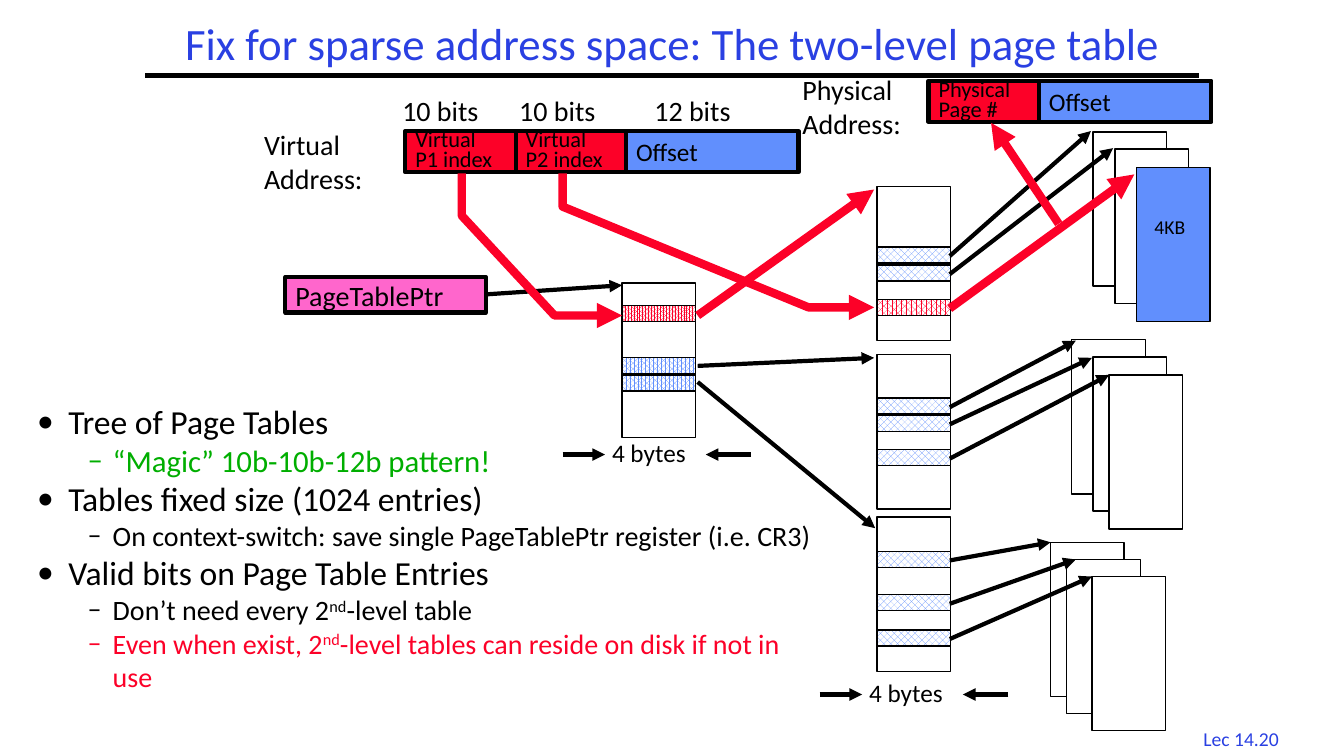
from lxml.etree import SubElement
from pptx import Presentation
from pptx.dml.color import RGBColor
from pptx.enum.dml import MSO_PATTERN
from pptx.enum.shapes import MSO_CONNECTOR, MSO_SHAPE
from pptx.enum.text import MSO_ANCHOR, MSO_AUTO_SIZE, PP_ALIGN
from pptx.oxml.ns import qn
from pptx.util import Inches, Pt

BLACK, WHITE, RED, BLUE = "000000", "FFFFFF", "FC0128", "618FFD"
TITLE_BLUE, PINK, GREEN = "2A40E2", "FF66CC", "00AE00"
TABLE_WIDTH, TABLE_HEIGHT, ENTRY_HEIGHT = 0.73, 1.53, 0.16


def color(value):
    return RGBColor.from_string(value)


def write_text(shape, text, size, fill=BLACK, spacing=1.0, inset=(0.1, 0.05),
               align=PP_ALIGN.LEFT, wrap=False):
    frame = shape.text_frame
    frame.text = text
    frame.word_wrap = wrap
    frame.margin_left = frame.margin_right = Inches(inset[0])
    frame.margin_top = frame.margin_bottom = Inches(inset[1])
    for paragraph in frame.paragraphs:
        paragraph.alignment = align
        paragraph.line_spacing = spacing
        for run in paragraph.runs:
            run.font.size = Pt(size)
            run.font.name = "Calibri"
            run.font.color.rgb = color(fill)
    return frame


def add_label(slide, left, top, width, height, text, size, **options):
    label = slide.shapes.add_textbox(Inches(left), Inches(top), Inches(width), Inches(height))
    frame = write_text(label, text, size, **options)
    frame.auto_size = MSO_AUTO_SIZE.SHAPE_TO_FIT_TEXT


def add_small_label(slide, left, top, width, height, text, size):
    add_label(slide, left, top, width, height, text, size, spacing=0.9, inset=(0.07, 0.03))


def add_box(slide, left, top, width, height, fill=None, weight=1, pattern=None):
    box = slide.shapes.add_shape(MSO_SHAPE.RECTANGLE, Inches(left), Inches(top),
                                 Inches(width), Inches(height))
    box.shadow.inherit = False
    box.line.color.rgb = color(BLACK)
    box.line.width = Pt(weight)
    if pattern:
        box.fill.patterned()
        box.fill.pattern = pattern
        box.fill.fore_color.rgb = color(fill)
        box.fill.back_color.rgb = color(WHITE)
    elif fill:
        box.fill.solid()
        box.fill.fore_color.rgb = color(fill)
    else:
        box.fill.background()
    return box


def add_cell(slide, left, top, width, height, text, size, fill, spacing=1.0):
    cell = add_box(slide, left, top, width, height, fill, weight=3)
    write_text(cell, text, size, spacing=spacing).vertical_anchor = MSO_ANCHOR.MIDDLE


def style_line(shape, stroke, weight, arrow=True):
    shape.line.color.rgb = color(stroke)
    shape.line.width = Pt(weight)
    if arrow:
        SubElement(shape.line._get_or_add_ln(), qn("a:tailEnd"), type="triangle")


def add_line(slide, start, end, stroke=BLACK, weight=3, arrow=True):
    line = slide.shapes.add_connector(MSO_CONNECTOR.STRAIGHT, *map(Inches, start + end))
    style_line(line, stroke, weight, arrow)
    SubElement(line._element.spPr, qn("a:effectLst"))


def add_index_route(slide, left, top, offsets):
    points = [(Inches(left + dx), Inches(top + dy)) for dx, dy in offsets]
    builder = slide.shapes.build_freeform(Inches(left), Inches(top))
    builder.add_line_segments(points, close=False)
    route = builder.convert_to_shape()
    route.shadow.inherit = False
    route.fill.background()
    style_line(route, RED, 6)


def add_header(slide, left, top, width, height):
    add_line(slide, (left + 0.52, top + 0.58), (left + 10.97, top + 0.58), arrow=False)
    title = slide.shapes.title
    title.left, title.top, title.width, title.height = map(Inches, (left, top, width, height))
    frame = write_text(title, "Fix for sparse address space: The two-level page table", 32,
                       fill=TITLE_BLUE, spacing=0.9, align=PP_ALIGN.CENTER, wrap=True)
    frame.vertical_anchor = MSO_ANCHOR.MIDDLE
    frame.auto_size = MSO_AUTO_SIZE.NONE


def add_address(slide, left, top, name, name_offset, indexes, bits=()):
    add_label(slide, left + name_offset[0], top + name_offset[1], 1.31, 0.77,
              f"{name}\nAddress:", 20)
    index_width = 1.095
    add_cell(slide, left + index_width * len(indexes), top, 1.71, 0.41, "Offset", 18, BLUE)
    for position, text in reversed(list(enumerate(indexes))):
        add_cell(slide, left + position * index_width, top, index_width, 0.41,
                 text, 16, RED, spacing=0.75)
    for offset, text in bits:
        add_small_label(slide, left + offset, top - 0.36, 0.97, 0.36, text, 20)


def add_table_frame(slide, left, top, entries):
    add_box(slide, left, top, TABLE_WIDTH, TABLE_HEIGHT)
    for offset, fill, pattern in entries:
        add_box(slide, left, top + offset, TABLE_WIDTH, ENTRY_HEIGHT, fill, pattern=pattern)


def add_entry_width(slide, left, top):
    add_small_label(slide, left, top, 0.95, 0.33, "4 bytes", 18)
    middle = top + 0.17
    add_line(slide, (left - 0.42, middle), (left, middle))
    add_line(slide, (left + 1.45, middle), (left + 1, middle))


def add_root_table(slide, left, top, targets):
    add_table_frame(slide, left, top, [(0.22, RED, MSO_PATTERN.PERCENT_80),
                                       (0.74, BLUE, MSO_PATTERN.PERCENT_75),
                                       (0.91, BLUE, MSO_PATTERN.PERCENT_75)])
    add_entry_width(slide, left - 0.17, top + TABLE_HEIGHT)
    add_cell(slide, left - 3.34, top - 0.06, 1.99, 0.35, "PageTablePtr", 20, PINK)
    add_line(slide, (left - 1.34, top + 0.11), (left, top + 0.02))
    starts = zip((0.32, 0.82, 0.98), (RED, BLACK, BLACK), (6, 3, 3), targets)
    for offset, stroke, weight, target in starts:
        add_line(slide, (left + 0.75, top + offset), target, stroke, weight)


def add_branch(slide, left, top, rows, active=None):
    for index, (entry, page, tip) in enumerate(rows):
        fill = BLUE if index == active else WHITE
        add_box(slide, left + page[0], top + page[1], TABLE_WIDTH, TABLE_HEIGHT, fill)
    entries = [(row[0], RED, MSO_PATTERN.PERCENT_70) if index == active
               else (row[0], BLUE, MSO_PATTERN.PERCENT_50) for index, row in enumerate(rows)]
    add_table_frame(slide, left, top, entries)
    for index, (entry, page, tip) in enumerate(rows):
        stroke, weight = (RED, 6) if index == active else (BLACK, 3)
        add_line(slide, (left + 0.72, top + entry + 0.09),
                 (left + tip[0], top + tip[1]), stroke, weight)


def add_bullets(slide, left, top, width, height, items):
    body = slide.shapes.add_textbox(Inches(left), Inches(top), Inches(width), Inches(height))
    frame = write_text(body, "\n".join("".join(parts) for level, size, fill, parts in items),
                       20, wrap=True)
    for paragraph, (level, size, fill, parts) in zip(frame.paragraphs, items):
        paragraph.level = level
        margin, hanging, symbol = ((0.31, 0.31, "•"), (0.75, 0.25, "–"))[level]
        properties = paragraph._p.get_or_add_pPr()
        properties.set("marL", str(Inches(margin)))
        properties.set("indent", str(-Inches(hanging)))
        SubElement(properties, qn("a:buFont"), typeface="Calibri")
        SubElement(properties, qn("a:buChar"), char=symbol)
        paragraph.clear()
        for position, part in enumerate(parts):
            run = paragraph.add_run()
            run.text = part
            run.font.name = "Calibri"
            run.font.size = Pt(size)
            run.font.color.rgb = color(fill)
            if position == 1:
                run._r.get_or_add_rPr().set("baseline", "30000")


def main():
    presentation = Presentation()
    presentation.slide_width, presentation.slide_height = Inches(13.33), Inches(7.5)
    slide = presentation.slides.add_slide(presentation.slide_layouts[5])
    add_header(slide, 0.92, 0.17, 11.5, 0.58)
    add_label(slide, 11.77, 7.16, 1.08, 0.33, "Lec 14.20", 14, fill=TITLE_BLUE,
              align=PP_ALIGN.CENTER)
    add_address(slide, 9.21, 0.8, "Physical", (-1.35, -0.13), ["Physical\nPage #"])
    add_address(slide, 4.02, 1.3, "Virtual", (-1.5, -0.08),
                ["Virtual\nP1 index", "Virtual\nP2 index"],
                [(-0.1, "10 bits"), (1.06, "10 bits"), (2.4, "12 bits")])
    add_root_table(slide, 6.17, 2.81, [(8.67, 1.88), (8.67, 3.55), (8.68, 5.24)])
    add_index_route(slide, 4.58, 1.72, [(0, 0.42), (0.92, 1.41), (1.59, 1.41)])
    add_bullets(slide, 0.27, 3.93, 7.93, 3.5, [
        (0, 24, BLACK, ["Tree of Page Tables"]),
        (1, 22, GREEN, ["“Magic” 10b-10b-12b pattern!"]),
        (0, 24, BLACK, ["Tables fixed size (1024 entries)"]),
        (1, 20, BLACK, ["On context-switch: save single PageTablePtr register (i.e. CR3)"]),
        (0, 24, BLACK, ["Valid bits on Page Table Entries"]),
        (1, 20, BLACK, ["Don’t need every 2", "nd", "-level table"]),
        (1, 20, RED, ["Even when exist, 2", "nd",
                      "-level tables can reside on disk if not in use"]),
    ])
    add_branch(slide, 8.7, 1.85, [(0.6, (2.14, -0.54), (2.12, -0.55)),
                                  (0.78, (2.36, -0.37), (2.34, -0.38)),
                                  (1.12, (2.57, -0.19), (2.55, -0.12))], active=2)
    add_small_label(slide, 11.38, 2.13, 0.51, 0.27, "4KB", 14)
    add_branch(slide, 8.7, 3.52, [(0.43, (1.93, -0.15), (1.97, -0.14)),
                                  (0.6, (2.14, 0.02), (2.13, 0.03)),
                                  (0.94, (2.3, 0.2), (2.3, 0.2))])
    add_branch(slide, 8.7, 5.13, [(0.34, (1.72, 0.25), (1.72, 0.25)),
                                  (0.77, (1.88, 0.42), (1.97, 0.42)),
                                  (1.12, (2.13, 0.59), (2.13, 0.59))])
    add_entry_width(slide, 8.55, 6.72)
    add_index_route(slide, 5.58, 1.72, [(0, 0.33), (2.44, 1.33), (3.09, 1.33)])
    add_line(slide, (10.5, 2.22), (9.83, 1.22), RED, 6)
    presentation.save("out.pptx")


if __name__ == "__main__":
    main()
